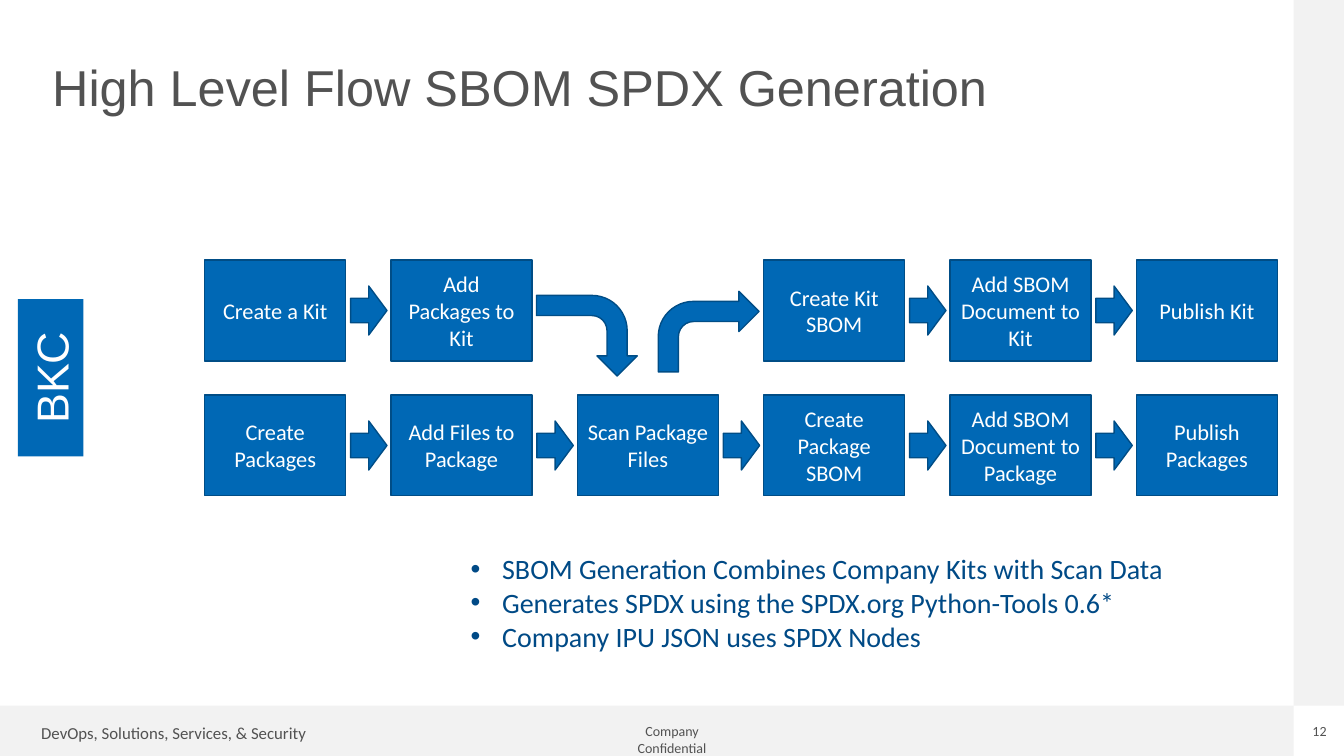
import pptx
import pptx.dml.color
import pptx.enum.shapes
import pptx.enum.text
import pptx.oxml
import pptx.util

Pt = pptx.util.Pt
SHAPE = pptx.enum.shapes.MSO_SHAPE
ALIGN = pptx.enum.text.PP_ALIGN
ANCHOR = pptx.enum.text.MSO_ANCHOR

BLUE, DARK_BLUE, TEXT_BLUE = "0068B5", "004D86", "004A86"
GRAY, PALE, WHITE = "525252", "F2F2F2", "FFFFFF"

FLOW_LEFT, COLUMN_STEP = 146.2, 133.1
STEP_WIDTH, STEP_HEIGHT = 100.8, 72
KIT_TOP, PACKAGE_TOP = 185.8, 282.2

# Each row: top, steps by column, columns followed by a straight arrow
FLOW_ROWS = [
    (KIT_TOP,
     ["Create a Kit", "Add Packages to Kit", None, "Create Kit SBOM",
      "Add SBOM Document to Kit", "Publish Kit"],
     [0, 3, 4]),
    (PACKAGE_TOP,
     ["Create Packages", "Add Files to Package", "Scan Package Files",
      "Create Package SBOM", "Add SBOM Document to Package",
      "Publish Packages"],
     range(5)),
]

FACTS = [
    "SBOM Generation Combines Company Kits with Scan Data",
    "Generates SPDX using the SPDX.org Python-Tools 0.6*",
    "Company IPU JSON uses SPDX Nodes",
]


def color(value):
    return pptx.dml.color.RGBColor.from_string(value)


def set_text(shape, lines, size, ink, font="Calibri", align=ALIGN.LEFT,
             anchor=ANCHOR.MIDDLE, inset=None, wrap=True):
    frame = shape.text_frame
    frame.text = "\n".join(lines)
    frame.word_wrap = wrap
    frame.vertical_anchor = anchor
    if inset is not None:
        frame.margin_left = frame.margin_right = Pt(inset)
        frame.margin_top = frame.margin_bottom = Pt(inset)
    for para in frame.paragraphs:
        para.alignment = align
        for span in para.runs:
            span.font.name = font
            span.font.size = Pt(size)
            span.font.color.rgb = color(ink)


def add_block(page, kind, left, top, width, height, fill, line=None,
              rotation=0):
    block = page.shapes.add_shape(kind, Pt(left), Pt(top), Pt(width),
                                  Pt(height))
    block.shadow.inherit = False
    block.rotation = rotation
    block.fill.solid()
    block.fill.fore_color.rgb = color(fill)
    if line:
        block.line.color.rgb = color(line)
        block.line.width = Pt(1)
    else:
        block.line.fill.background()
    return block


def add_label(page, left, top, width, height, lines, size, ink, **style):
    box = page.shapes.add_textbox(Pt(left), Pt(top), Pt(width), Pt(height))
    set_text(box, lines, size, ink, **style)
    return box


def add_bullet(para, indent):
    properties = para._p.get_or_add_pPr()
    properties.set("marL", str(Pt(indent)))
    properties.set("indent", str(-Pt(indent)))
    for tag, name, value in (("buFont", "typeface", "Arial"),
                             ("buChar", "char", "•")):
        bullet = pptx.oxml.parse_xml(
            f'<a:{tag} xmlns:a="http://schemas.openxmlformats.org/'
            'drawingml/2006/main"/>')
        bullet.set(name, value)
        properties.append(bullet)


def add_frame(page):
    """Add the gray bands with the footer and the page number."""
    add_block(page, SHAPE.RECTANGLE, 0, 504, 924, 36, PALE)
    add_block(page, SHAPE.RECTANGLE, 924, 0, 36, 504, PALE)
    add_label(page, 432, 512.6, 96, 19.4, ["Company Confidential"], 10, GRAY,
              align=ALIGN.CENTER, anchor=ANCHOR.TOP, wrap=False)
    add_label(page, 22.3, 512.6, 239, 21.6,
              ["DevOps, Solutions, Services, & Security"], 12, GRAY,
              anchor=ANCHOR.TOP, wrap=False)
    add_label(page, 936, 516.2, 13, 12.2, ["12"], 10, GRAY,
              align=ALIGN.CENTER, anchor=ANCHOR.TOP, inset=0, wrap=False)


def add_flow(page):
    for top, steps, arrow_columns in FLOW_ROWS:
        for column, step in enumerate(steps):
            left = FLOW_LEFT + column * COLUMN_STEP
            if step:
                box = add_block(page, SHAPE.RECTANGLE, left, top, STEP_WIDTH,
                                STEP_HEIGHT, BLUE, DARK_BLUE)
                set_text(box, [step], 16, WHITE, align=ALIGN.CENTER)
            if column in arrow_columns:
                add_block(page, SHAPE.RIGHT_ARROW, left + 104.2, top + 18.5,
                          26, 35, BLUE, DARK_BLUE)
    add_block(page, SHAPE.BENT_ARROW, 390.4, 203.8, 57.6, 72, BLUE, DARK_BLUE,
              rotation=90)
    add_block(page, SHAPE.BENT_ARROW, 470.2, 208.1, 72, 57.6, BLUE, DARK_BLUE)


def main():
    deck = pptx.Presentation()
    deck.slide_width, deck.slide_height = Pt(960), Pt(540)
    page = deck.slides.add_slide(deck.slide_layouts[6])

    add_frame(page)
    title = add_label(page, 30.2, 17.3, 864, 94.3,
                      ["High Level Flow SBOM SPDX Generation"], 36, GRAY,
                      font="Arial")
    title.text_frame.paragraphs[0].line_spacing = 0.9

    facts = add_label(page, 336.2, 393.8, 576, 72.7, FACTS, 20, TEXT_BLUE,
                      inset=0)
    for para in facts.text_frame.paragraphs:
        add_bullet(para, 22.5)

    add_flow(page)
    tag = add_block(page, SHAPE.RECTANGLE, -20, 246.4, 112.3, 46.8, BLUE,
                    rotation=270)
    set_text(tag, ["BKC"], 32, WHITE, font="Arial", align=ALIGN.CENTER,
             inset=4.3)
    deck.save("out.pptx")


if __name__ == "__main__":
    main()
